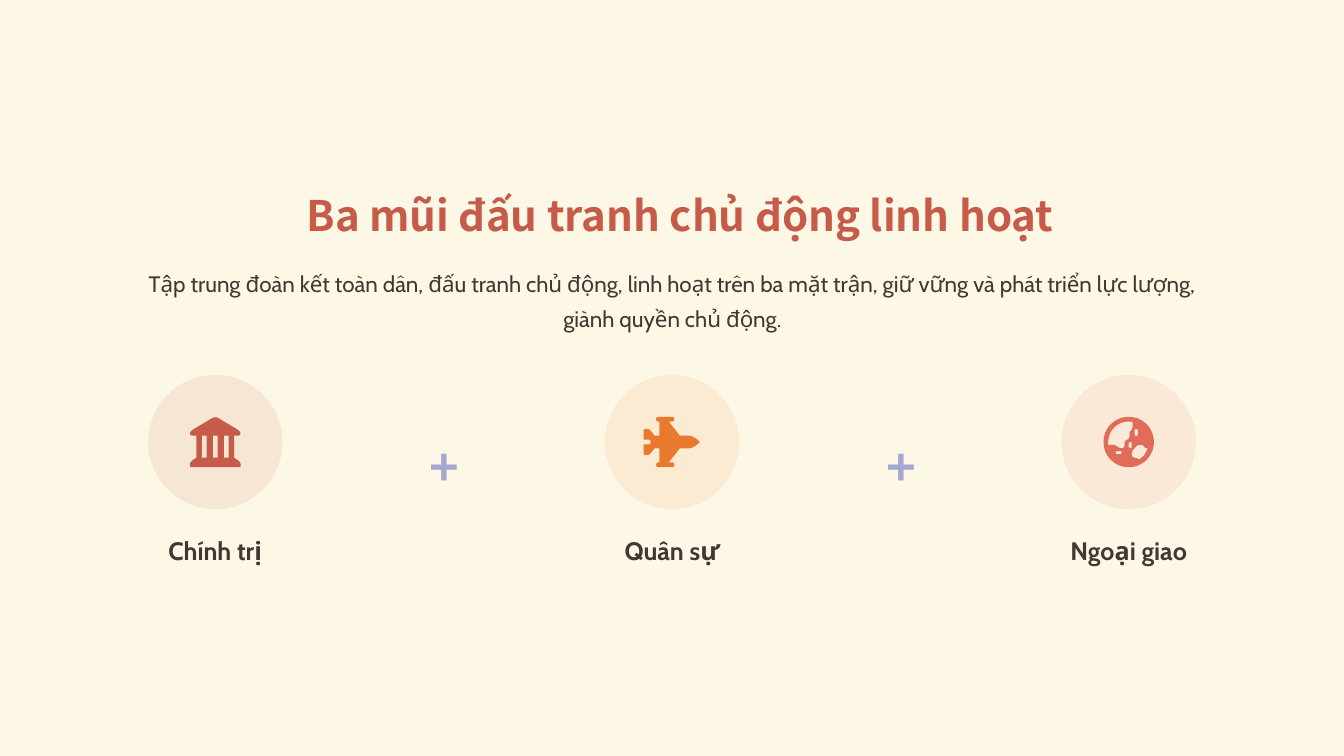
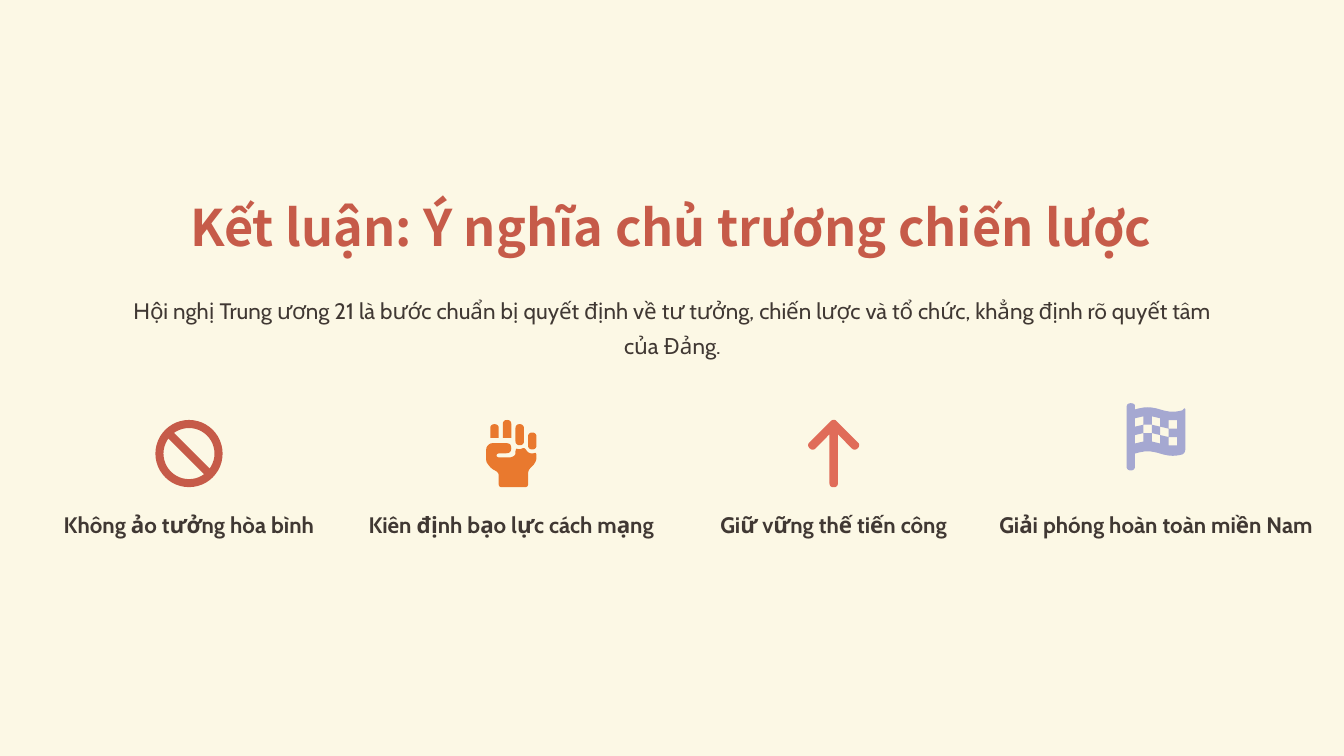
from math import cos, hypot, pi, radians, sin

from lxml import etree
from pptx import Presentation
from pptx.dml.color import RGBColor
from pptx.enum.shapes import MSO_SHAPE
from pptx.enum.text import MSO_ANCHOR, PP_ALIGN
from pptx.oxml.ns import qn
from pptx.util import Pt

PX = 9525
WIDTH, HEIGHT = 1280, 720
GRID = 512  # height of the grid on which icon outlines are drawn

OVAL, NO_SYMBOL = MSO_SHAPE.OVAL, MSO_SHAPE.NO_SYMBOL
LEFT, CENTER = PP_ALIGN.LEFT, PP_ALIGN.CENTER
MIDDLE = MSO_ANCHOR.MIDDLE

CREAM, INK = "FCF8E5", "403833"
BRICK, ORANGE, CORAL, LILAC = "C65B49", "E9792E", "E06C59", "A5A8D1"
HEADING_FONT, BODY_FONT = "Noto Sans CJK SC", "Cabin"


def rgb(hex_color):
    return RGBColor.from_string(hex_color)


def rounded(corners, radius=0):
    """Outline with softened corners; a corner (x, y, r) has its own radius."""
    outline = []
    for i, (x, y, *own) in enumerate(corners):
        wanted = own[0] if own else radius
        if not wanted:
            outline.append((x, y))
            continue
        ends = []
        for nx, ny, *_ in (corners[i - 1], corners[(i + 1) % len(corners)]):
            edge = hypot(nx - x, ny - y)
            share = min(wanted, edge / 2) / edge
            ends.append((x + (nx - x) * share, y + (ny - y) * share))
        (ax, ay), (bx, by) = ends
        for t in (0, 0.2, 0.4, 0.6, 0.8, 1):
            a, mid, b = (1 - t) ** 2, 2 * t * (1 - t), t ** 2
            outline.append((a * ax + mid * x + b * bx, a * ay + mid * y + b * by))
    return outline


def box(left, top, right, bottom, radius=0):
    return rounded([(left, top), (right, top), (right, bottom), (left, bottom)], radius)


def arc(radius, start, end, step=5):
    """Points on a circle about the grid's middle, angles in degrees."""
    middle = GRID / 2
    return [(middle + radius * cos(radians(a)), middle + radius * sin(radians(a)))
            for a in range(start, end, step)]


def government_building():
    front = [(256, -6, 40), (512, 148, 40), (512, 192, 30), (448, 192),
             (448, 416), (508, 456, 30), (520, 512, 30)]
    mirrored = [(GRID - x, *rest) for x, *rest in reversed(front[1:])]
    gaps = [box(x, 192, x + 48, 416) for x in (120, 232, 344)]
    return [rounded(front + mirrored), *gaps]


def fighter_jet():
    upper = [(490, 192, 40), (368, 192), (256, 48), (312, 48, 24), (312, 0, 24),
             (128, 0, 24), (128, 48, 24), (160, 48), (160, 192), (112, 192),
             (56, 124, 20), (0, 124, 16), (0, 232), (72, 232, 24)]
    lower = [(x, GRID - y, *own) for x, y, *own in reversed(upper)]
    return [rounded(upper + lower + [(580, 256, 30)])]


def globe():
    north_west = [(43, 286), (113, 286), (133, 297), (164, 317), (205, 317),
                  (215, 287), (215, 246), (256, 225), (266, 195), (266, 154),
                  (287, 133), (297, 102), (297, 51)]
    south_east = [(450, 318), (425, 318), (410, 300), (399, 286), (348, 286),
                  (297, 338), (287, 368), (287, 400), (317, 420), (338, 420),
                  (364, 435), (415, 390)]
    return [arc(256, 0, 360),
            rounded(north_west + arc(208, -90, -185, -5), 12),
            rounded(south_east, 14),
            box(123, 348, 184, 379, 15),
            box(256, 256, 287, 317, 15),
            box(317, 123, 348, 195, 15)]


def raised_fist():
    palm = [(224, 215), (256, 226), (292, 208), (318, 248), (352, 258), (384, 246),
            (384, 320, 60), (320, 384), (320, 512), (96, 512), (96, 400),
            (40, 370), (0, 320), (0, 176, 60), (192, 176, 40), (192, 254, 40),
            (80, 254), (80, 286), (224, 286, 60)]
    fingers = [rounded([(x, 136, 0), (x, top), (x + 64, top), (x + 64, 136, 0)], 32)
               for x, top in ((32, 32), (128, 0))]
    return [*fingers, box(224, 32, 288, 192, 32), box(320, 96, 384, 224, 32),
            rounded(palm, 24)]


def up_arrow():
    left = [(160, 512), (160, 109, 0), (32, 238), (-14, 192)]
    right = [(384 - x, *rest) for x, *rest in reversed(left)]
    return [rounded(left + [(192, -13)] + right, 32)]


def checkered_flag():
    cell = 64

    def wave(x):
        return 48 - 17 * sin((x - cell) * pi / 192)

    hem = [(x, wave(x)) for x in range(cell, 449, 24)]
    cloth = [*hem[:-1], (448, wave(448) - 18, 30), (448, wave(448) + 325, 40),
             *[(x, y + 336) for x, y in reversed(hem[:-1])]]
    pole = [(64, 512, 32), (0, 512, 32), (0, 0, 32), (64, 0, 32)]
    cells = []
    for column in range(5):
        x = cell * (column + 1)
        for row in range(column % 2, 3, 2):
            top = 67 + cell * row
            cells.append([(x, wave(x) + top), (x + cell, wave(x + cell) + top),
                          (x + cell, wave(x + cell) + top + cell),
                          (x, wave(x) + top + cell)])
    return [rounded(cloth + pole), *cells]


class Deck:
    """Holds the shared style and the slide being filled."""

    def __init__(self):
        self.presentation = Presentation()
        self.presentation.slide_width = WIDTH * PX
        self.presentation.slide_height = HEIGHT * PX
        self.slide = None

    def new_slide(self):
        self.slide = self.presentation.slides.add_slide(self.presentation.slide_layouts[6])
        background = self.slide.background.fill
        background.solid()
        background.fore_color.rgb = rgb(CREAM)

    def paint(self, shape, color, opacity=100):
        shape.shadow.inherit = False
        shape.line.fill.background()
        shape.fill.solid()
        shape.fill.fore_color.rgb = rgb(color)
        if opacity < 100:
            tint = shape.fill._xPr.find(".//" + qn("a:srgbClr"))
            etree.SubElement(tint, qn("a:alpha"), val=str(opacity * 1000))

    def text(self, words, left, top, width, height, size, color=INK,
             font=BODY_FONT, bold=True, align=CENTER, spacing=1.3):
        frame = self.slide.shapes.add_textbox(
            left * PX, top * PX, width * PX, height * PX).text_frame
        frame.margin_left = frame.margin_top = 0
        frame.margin_right = frame.margin_bottom = 0
        frame.word_wrap = True
        frame.vertical_anchor = MIDDLE
        frame.text = words
        paragraph = frame.paragraphs[0]
        paragraph.alignment = align
        paragraph.line_spacing = spacing
        style = paragraph.runs[0].font
        style.name, style.size, style.bold = font, Pt(size), bold
        style.color.rgb = rgb(color)

    def heading(self, words, left, top, width, height, size, color=BRICK, **layout):
        self.text(words, left, top, width, height, size, color, HEADING_FONT, **layout)

    def lead(self, words, top):
        self.text(words, 123, top, 1035, 64, 16, bold=False)

    def label(self, words, center, top, width, height, size):
        self.text(words, center - width // 2, top, width, height, size)

    def preset(self, kind, left, top, size, color, opacity=100):
        shape = self.slide.shapes.add_shape(
            kind, left * PX, top * PX, size * PX, size * PX)
        self.paint(shape, color, opacity)
        return shape

    def icon(self, outlines, left, top, height, color):
        first, *others = outlines
        builder = self.slide.shapes.build_freeform(*first[0], scale=height * PX / GRID)
        builder.add_line_segments(first[1:], close=True)
        for outline in others:
            builder.move_to(*outline[0])
            builder.add_line_segments(outline[1:], close=True)
        self.paint(builder.convert_to_shape(left * PX, top * PX), color)

    def save(self):
        self.presentation.save("out.pptx")


def three_fronts(deck):
    deck.new_slide()
    deck.heading("Ba mũi đấu tranh chủ động linh hoạt", 292, 181, 716, 48, 30,
                 align=LEFT, spacing=1.0)
    deck.lead("Tập trung đoàn kết toàn dân, đấu tranh chủ động, linh hoạt trên ba mặt trận, "
              "giữ vững và phát triển lực lượng, giành quyền chủ động.", 251)
    fronts = [("Chính trị", government_building(), 48, BRICK),
              ("Quân sự", fighter_jet(), 54, ORANGE),
              ("Ngoại giao", globe(), 48, CORAL)]
    step, disc = 435, 128
    for i, (name, outlines, width, color) in enumerate(fronts):
        center = 205 + i * step
        deck.preset(OVAL, center - disc // 2, 357, disc, color, opacity=10)
        deck.icon(outlines, center - width // 2, 397, 48, color)
        deck.label(name, center, 501, 134, 37, 18)
        if i < len(fronts) - 1:
            deck.heading("+", center + 204, 421, 52, 54, 36, LILAC, align=LEFT, spacing=0.9)


def conclusion(deck):
    deck.new_slide()
    deck.heading("Kết luận: Ý nghĩa chủ trương chiến lược", 164, 192, 950, 54, 36,
                 spacing=0.9)
    deck.lead("Hội nghị Trung ương 21 là bước chuẩn bị quyết định về tư tưởng, chiến lược "
              "và tổ chức, khẳng định rõ quyết tâm của Đảng.", 277)
    meanings = [("Không ảo tưởng hòa bình", None, 64, 400, BRICK),
                ("Kiên định bạo lực cách mạng", raised_fist(), 48, 400, ORANGE),
                ("Giữ vững thế tiến công", up_arrow(), 48, 400, CORAL),
                ("Giải phóng hoàn toàn miền Nam", checkered_flag(), 56, 384, LILAC)]
    for i, (meaning, outlines, width, top, color) in enumerate(meanings):
        center = 180 + i * 307
        left = center - width // 2
        if outlines:
            deck.icon(outlines, left, top, 64, color)
        else:
            ban = deck.preset(NO_SYMBOL, left, top, width, color)
            ban.adjustments[0] = 0.12
        deck.label(meaning, center, 480, 306, 32, 16)


def main():
    deck = Deck()
    three_fronts(deck)
    conclusion(deck)
    deck.save()


if __name__ == "__main__":
    main()
